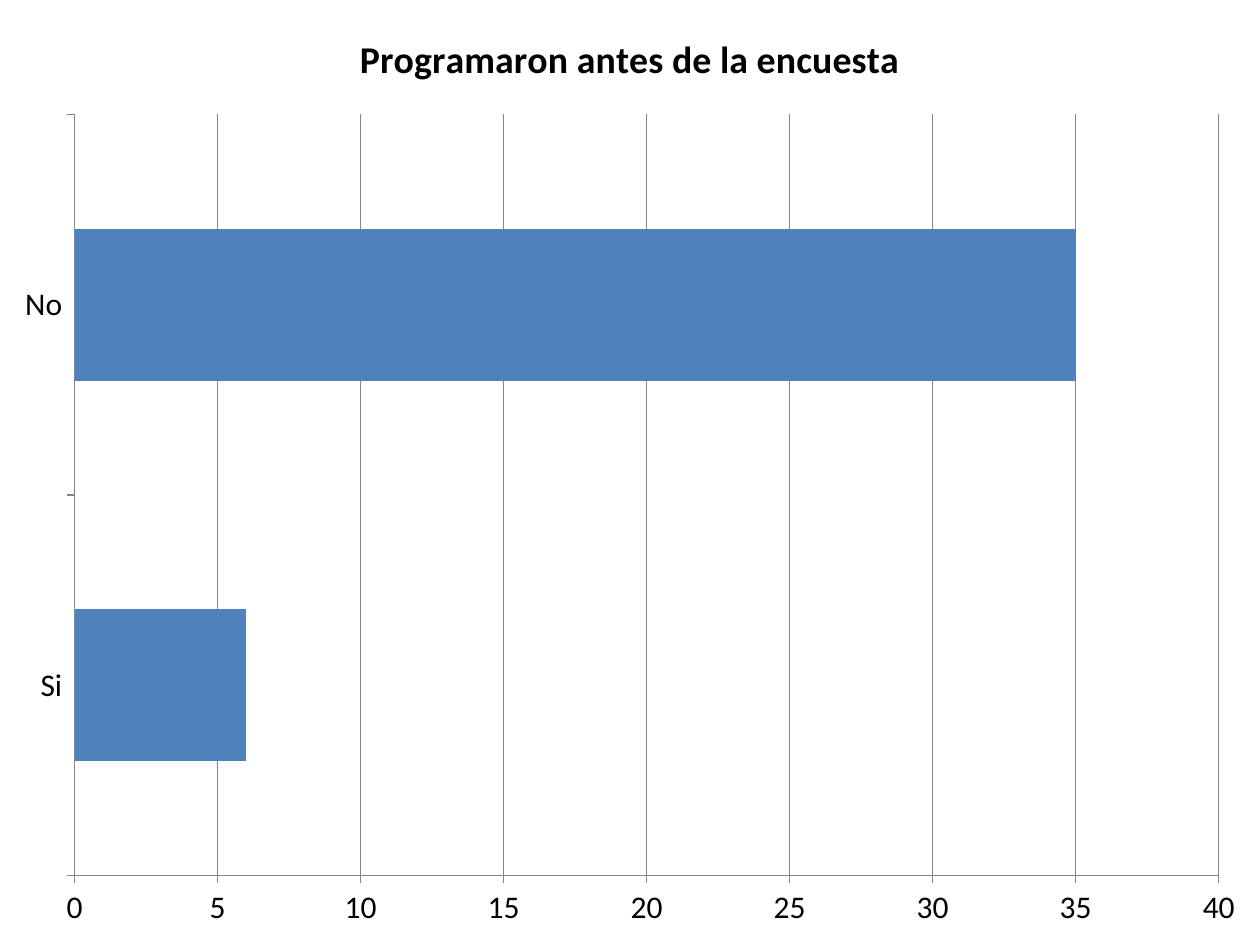
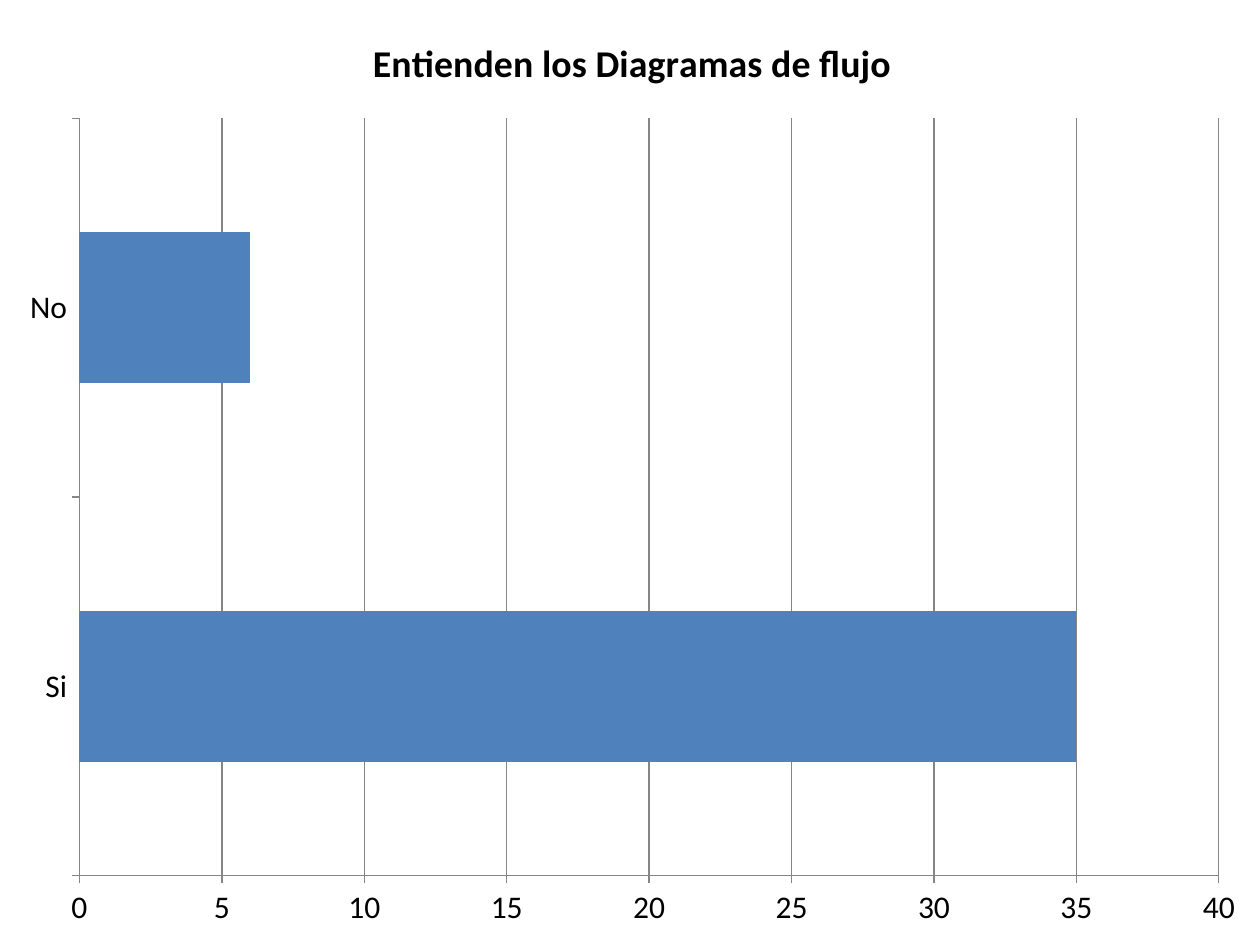
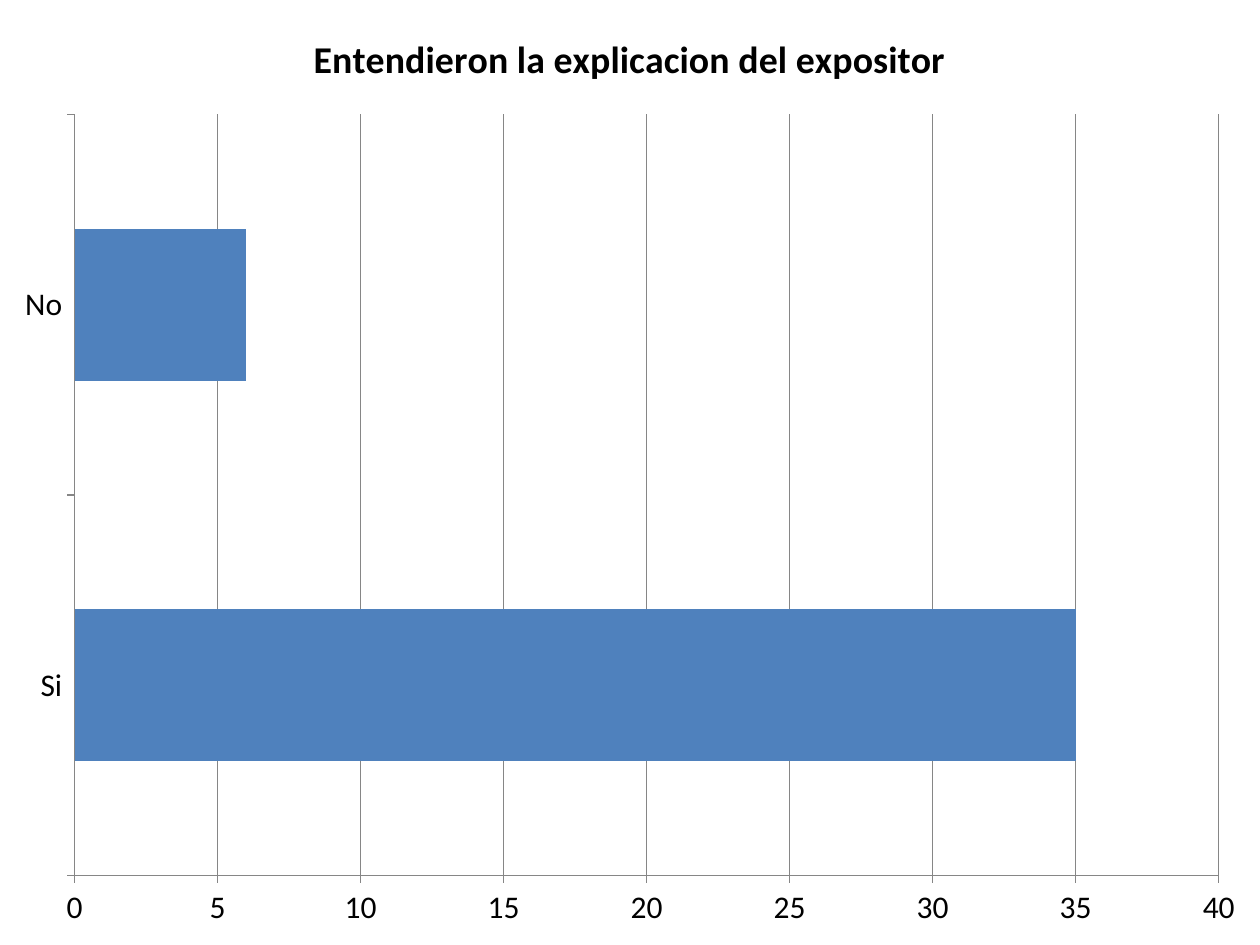
from dataclasses import dataclass

from pptx import Presentation
from pptx import util as u
from pptx.chart.data import CategoryChartData
from pptx.dml.color import RGBColor
from pptx.enum import chart as ch


@dataclass(frozen=True)
class Theme:
    font: str = "Calibri"
    ink: RGBColor = RGBColor(0x00, 0x00, 0x00)
    paper: RGBColor = RGBColor(0xFF, 0xFF, 0xFF)
    bar: RGBColor = RGBColor(0x4F, 0x81, 0xBD)
    rule: RGBColor = RGBColor(0x86, 0x86, 0x86)
    label_size: u.Pt = u.Pt(18)
    title_size: u.Pt = u.Pt(21.6)
    rule_width: u.Pt = u.Pt(0.75)


WIDTH, HEIGHT = 25.4, 19.05
ANSWERS = ["Si", "No"]

# Question, votes per answer, left and top margin in cm
SURVEY = [
    ("Programaron antes de la encuesta", (6, 35), (0, 0)),
    ("Entienden los Diagramas de flujo", (35, 6), (0.1, 0.08)),
    ("Entendieron la explicacion del expositor", (35, 6), (0, 0)),
]


class Deck:
    def __init__(self, theme):
        self.theme = theme
        self.prs = Presentation()
        self.prs.slide_width = u.Cm(WIDTH)
        self.prs.slide_height = u.Cm(HEIGHT)
        self.s = None

    def new_slide(self):
        self.s = self.prs.slides.add_slide(self.prs.slide_layouts[6])
        fill = self.s.background.fill
        fill.solid()
        fill.fore_color.rgb = self.theme.paper

    def style_font(self, font, size, bold=False):
        font.name = self.theme.font
        font.size = size
        font.bold = bold
        font.color.rgb = self.theme.ink

    def style_line(self, line):
        line.color.rgb = self.theme.rule
        line.width = self.theme.rule_width

    def chart_title(self, chart, title):
        chart.has_title = True
        chart.chart_title.include_in_layout = False
        p = chart.chart_title.text_frame.paragraphs[0]
        r = p.add_run()
        r.text = title
        self.style_font(r.font, self.theme.title_size, bold=True)

    def bar_chart(self, title, votes, left, top):
        data = CategoryChartData()
        data.categories = ANSWERS
        data.add_series(title, votes)
        chart = self.s.shapes.add_chart(
            ch.XL_CHART_TYPE.BAR_STACKED, u.Cm(left), u.Cm(top),
            u.Cm(WIDTH - left), u.Cm(HEIGHT - top), data).chart
        chart.has_legend = False
        self.style_font(chart.font, self.theme.label_size)
        self.chart_title(chart, title)

        # Bars
        plot = chart.plots[0]
        plot.gap_width = 150
        plot.overlap = 100
        plot.vary_by_categories = False
        fill = plot.series[0].format.fill
        fill.solid()
        fill.fore_color.rgb = self.theme.bar

        # Axes and grid
        for axis in (chart.category_axis, chart.value_axis):
            axis.major_tick_mark = ch.XL_TICK_MARK.OUTSIDE
            axis.minor_tick_mark = ch.XL_TICK_MARK.NONE
            self.style_line(axis.format.line)
        chart.category_axis.has_major_gridlines = False
        values = chart.value_axis
        values.minimum_scale, values.maximum_scale = 0, 40
        values.major_unit = 5
        values.has_major_gridlines = True
        self.style_line(values.major_gridlines.format.line)


def main():
    deck = Deck(Theme())
    for question, votes, margin in SURVEY:
        deck.new_slide()
        deck.bar_chart(question, votes, *margin)
    deck.prs.save("out.pptx")


if __name__ == "__main__":
    main()
